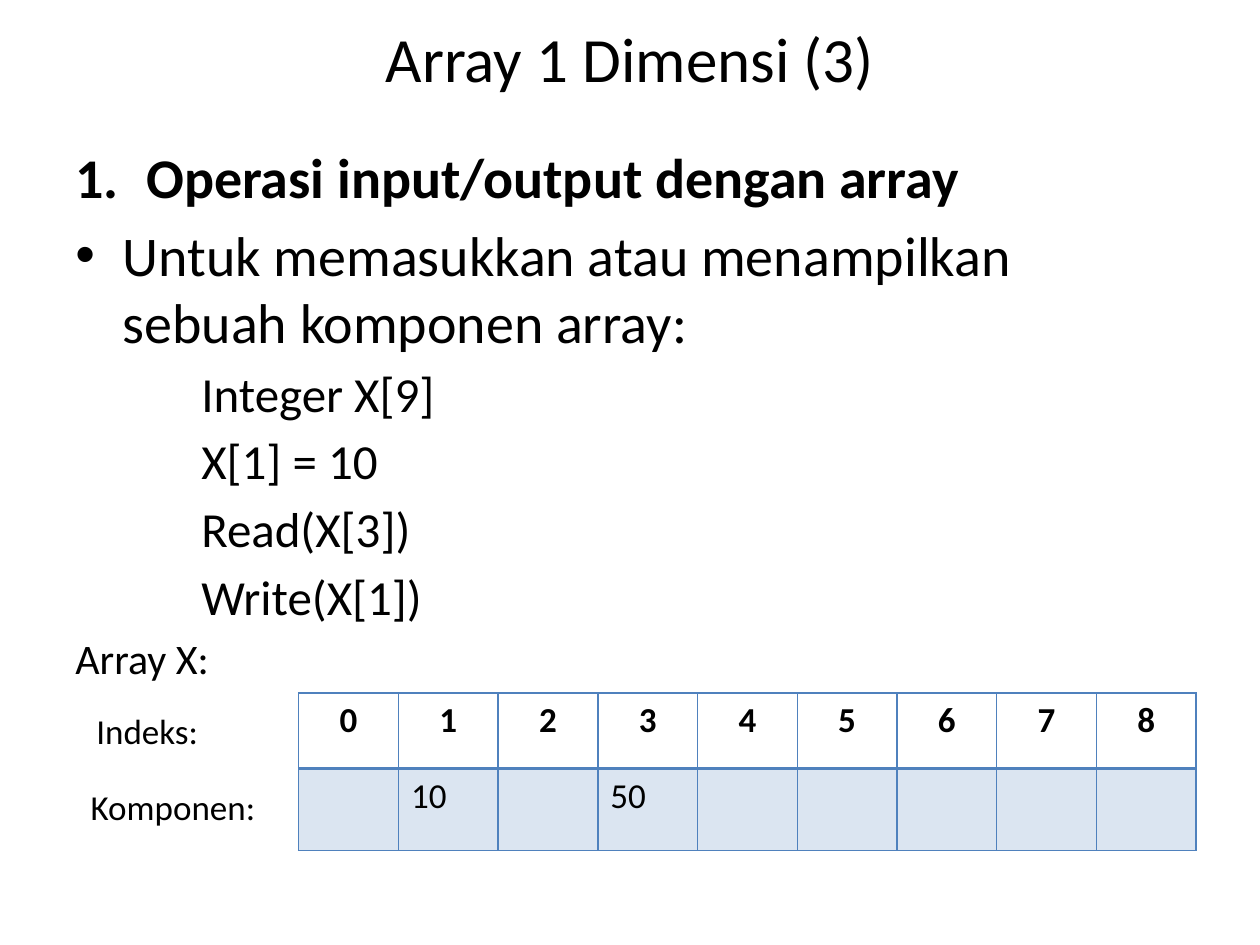
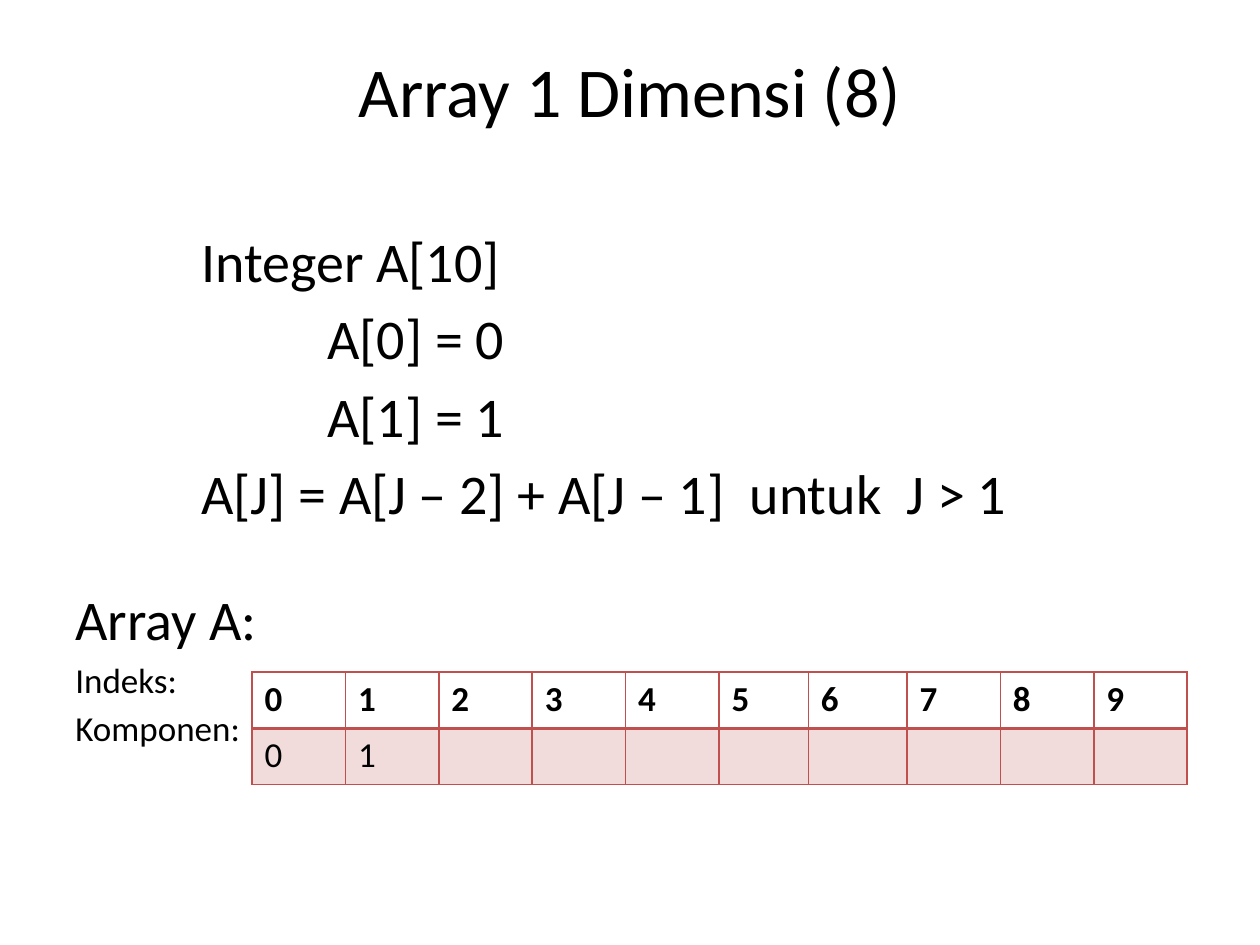
from collections import namedtuple
from dataclasses import dataclass
from lxml.etree import SubElement
from pptx import Presentation
from pptx.dml.color import RGBColor
from pptx.enum.text import MSO_ANCHOR, PP_ALIGN
from pptx.oxml.ns import qn
from pptx.util import Inches, Pt


@dataclass(frozen=True)
class Theme:
    font: str = "Calibri"
    ink: str = "000000"
    blue: str = "4F81BD"
    red: str = "C0504D"
    tint: int = 20000
    large: int = 32
    code: int = 28
    medium: int = 24
    small: int = 20
    gap: float = 0.18


theme = Theme()
Line = namedtuple("Line", "text size indent hang bullet bold extra",
                  defaults=(0, 0, None, False, 0))
Grid = namedtuple("Grid", "left top widths heights align color rows")
Page = namedtuple("Page", "title title_size title_box body_box lines grid labels")

prs = Presentation()
prs.slide_width, prs.slide_height = Inches(10), Inches(7.5)
unit = prs.slide_width / 120


def style(p, size, bold=False, align=PP_ALIGN.LEFT):
    p.alignment = align
    for r in p.runs:
        r.font.name = theme.font
        r.font.size = Pt(size)
        r.font.bold = bold
        r.font.color.rgb = RGBColor.from_string(theme.ink)


def add_text(s, box, lines):
    tf = s.shapes.add_textbox(*[int(n * unit) for n in box]).text_frame
    tf.word_wrap = True
    for i, line in enumerate(lines):
        p = tf.paragraphs[0] if i == 0 else tf.add_paragraph()
        p.text = line.text
        style(p, line.size, line.bold)
        if len(lines) > 1:
            p.space_before = Pt(line.size * theme.gap + line.extra)
        pPr = p._p.get_or_add_pPr()
        pPr.set("marL", str(int((line.indent + line.hang) * unit)))
        pPr.set("indent", str(int(-line.hang * unit)))
        if line.bullet == "1.":
            SubElement(pPr, qn("a:buAutoNum"), type="arabicPeriod")
        elif line.bullet:
            SubElement(pPr, qn("a:buFont"), typeface="Arial")
            SubElement(pPr, qn("a:buChar"), char=line.bullet)


pages = [
    Page(
        "Array 1 Dimensi (3)", 36, (6, 0, 108, 11), (6, 13, 108, 74),
        [
            Line("Operasi input/output dengan array", theme.large, 0, 6.75, "1.", True),
            Line("Untuk memasukkan atau menampilkan sebuah komponen array:",
                 theme.large, 0, 4.5, "•"),
            Line("Integer X[9]", theme.code, 12),
            Line("X[1] = 10", theme.code, 12),
            Line("Read(X[3])", theme.code, 12),
            Line("Write(X[1])", theme.code, 12),
            Line("Array X:", theme.medium),
        ],
        Grid(28.45, 66, [9.5] * 9, [7.2, 7.8], PP_ALIGN.CENTER, theme.blue,
             [range(9), ["", 10, "", 50] + [""] * 5]),
        [("Indeks:", (8, 67, 19, 5.25)), ("Komponen:", (7.45, 74.25, 19.2, 5.25))],
    ),
    Page(
        "Array 1 Dimensi (8)", 40, (6, 1, 108, 15), (6, 21, 108, 59.4),
        [
            Line("Integer A[10]", theme.large, 12),
            Line("A[0] = 0", theme.large, 24),
            Line("A[1] = 1", theme.large, 24),
            Line("A[J] = A[J – 2] + A[J – 1]  untuk  J > 1", theme.large, 12),
            Line("Array A:", theme.large, extra=28),
            Line("Indeks:", theme.small),
            Line("Komponen:", theme.small),
        ],
        Grid(24, 64, [8.9] * 5 + [8.5, 9.4] + [8.9] * 3, [5.35] * 2, PP_ALIGN.LEFT,
             theme.red, [range(10), [0, 1] + [""] * 8]),
        [],
    ),
]

for page in pages:
    s = prs.slides.add_slide(prs.slide_layouts[5])
    sp = s.shapes.title
    sp.left, sp.top, sp.width, sp.height = [int(n * unit) for n in page.title_box]
    sp.text_frame.text = page.title
    sp.text_frame.vertical_anchor = MSO_ANCHOR.MIDDLE
    style(sp.text_frame.paragraphs[0], page.title_size, align=PP_ALIGN.CENTER)
    add_text(s, page.body_box, page.lines)

    grid = page.grid
    box = (grid.left, grid.top, sum(grid.widths), sum(grid.heights))
    table = s.shapes.add_table(len(grid.rows), len(grid.widths),
                               *[int(n * unit) for n in box]).table
    table.horz_banding = False
    for column, width in zip(table.columns, grid.widths):
        column.width = int(width * unit)
    for i, (row, height) in enumerate(zip(grid.rows, grid.heights)):
        table.rows[i].height = int(height * unit)
        for j, value in enumerate(row):
            cell = table.cell(i, j)
            cell.text = str(value)
            style(cell.text_frame.paragraphs[0], theme.small, i == 0,
                  grid.align if i == 0 else PP_ALIGN.LEFT)
            tcPr = cell._tc.get_or_add_tcPr()
            for side in "LRTB":
                middle = (i, side) in ((0, "B"), (1, "T"))
                ln = SubElement(tcPr, qn(f"a:ln{side}"), w=str(Pt(2 if middle else 1)))
                SubElement(SubElement(ln, qn("a:solidFill")), qn("a:srgbClr"), val=grid.color)
            if i == 0:
                cell.fill.background()
            else:
                cell.fill.solid()
                cell.fill.fore_color.rgb = RGBColor.from_string(grid.color)
                color = tcPr.find(qn("a:solidFill")).find(qn("a:srgbClr"))
                SubElement(color, qn("a:alpha"), val=str(theme.tint))

    for text, box in page.labels:
        add_text(s, box, [Line(text, theme.small)])

prs.save("out.pptx")
